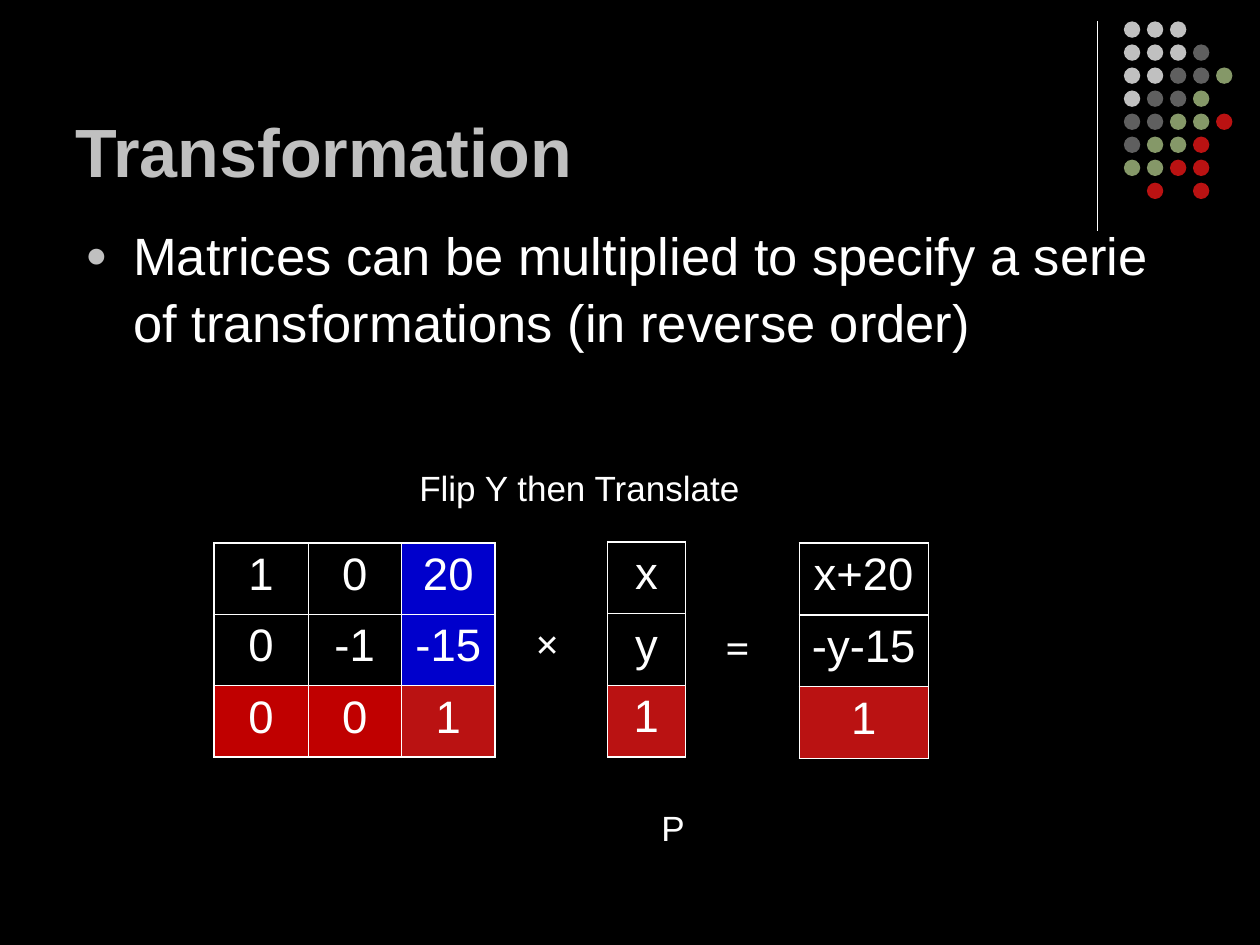
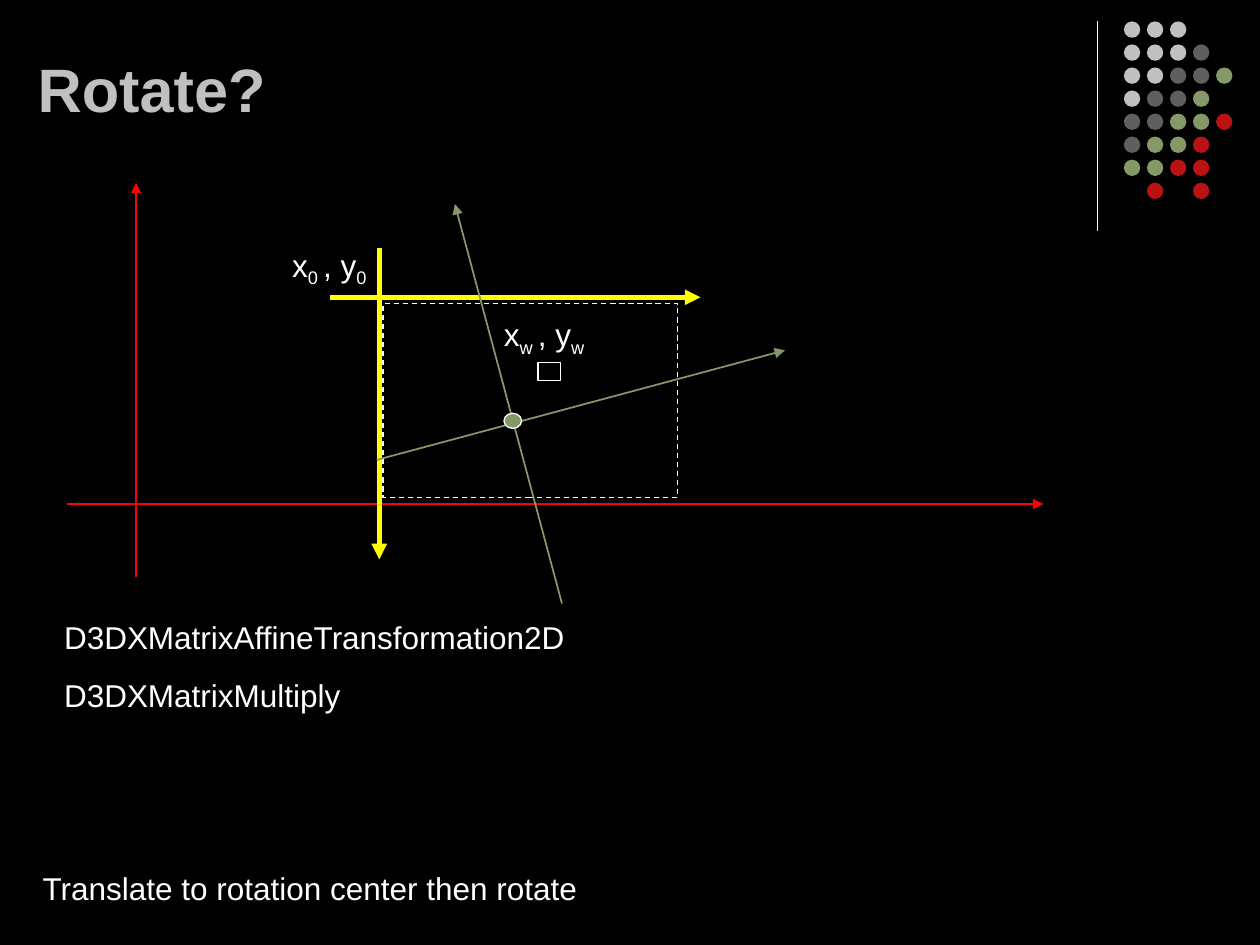
import lxml.etree
import pptx
import pptx.dml.color
import pptx.enum.dml
import pptx.enum.shapes
import pptx.enum.text
import pptx.oxml
import pptx.oxml.ns
import pptx.util

Inches = pptx.util.Inches
Pt = pptx.util.Pt
qn = pptx.oxml.ns.qn
Shape = pptx.enum.shapes.MSO_SHAPE
Align = pptx.enum.text.PP_ALIGN
Anchor = pptx.enum.text.MSO_ANCHOR

BLACK, WHITE, SILVER, GRAY = "000000", "FFFFFF", "C0C0C0", "5F5F5F"
GREEN, RED, BLUE = "859868", "BA1212", "0000CC"
DEEP, AXIS, YELLOW = "C00000", "FF0000", "FFFF00"
THICK, THIN = 1.08, 0.45
DOTS = ["sss", "sssg", "ssgge", "sgge", "ggeer", "geer", "eerr", " r r"]
SHADES = {"s": SILVER, "g": GRAY, "e": GREEN, "r": RED}


def color(code):
    """Turn a hex string into a colour."""
    return pptx.dml.color.RGBColor.from_string(code)


def style(item, **form):
    """Set each given attribute on an item."""
    for key, value in form.items():
        setattr(item, key, value)


def write(para, text, size, ink=WHITE, face="Arial", bold=False, base=0):
    """Add a styled run to a paragraph."""
    run = para.add_run()
    run.text = text
    style(run.font, size=Pt(size), name=face, bold=bold)
    run.font.color.rgb = color(ink)
    if base:
        run._r.get_or_add_rPr().set("baseline", str(base * 1000))


def label(slide, box, lines, size, gap=0, anchor=Anchor.TOP, foot=0.05, **form):
    """Add a text box with one paragraph per line."""
    frame = slide.shapes.add_textbox(*map(Inches, box)).text_frame
    style(frame, word_wrap=True, vertical_anchor=anchor, margin_bottom=Inches(foot))
    for num, line in enumerate(lines):
        para = frame.add_paragraph() if num else frame.paragraphs[0]
        if num:
            para.space_before = Pt(gap)
        write(para, line, size, **form)
    return frame


def title(slide, box, text, size):
    """Add the slide title."""
    label(slide, box, [text], size, anchor=Anchor.BOTTOM, foot=0.03,
          ink=SILVER, bold=True)


def shape(slide, kind, box, fill=None, line=None, dash=None):
    """Add a preset shape with optional fill and outline."""
    item = slide.shapes.add_shape(kind, *map(Inches, box))
    item.shadow.inherit = False
    if fill:
        item.fill.solid()
        item.fill.fore_color.rgb = color(fill)
    else:
        item.fill.background()
    if line:
        item.line.color.rgb = color(line)
        style(item.line, width=Pt(0.75), dash_style=dash)
    else:
        item.line.fill.background()


def stroke(slide, start, end, ink, width, arrow=True):
    """Draw a straight line, with an arrowhead at its end if asked."""
    item = slide.shapes.add_connector(
        pptx.enum.shapes.MSO_CONNECTOR.STRAIGHT, *map(Inches, start + end))
    item.line.color.rgb = color(ink)
    item.line.width = Pt(width)
    if arrow:
        tail = lxml.etree.SubElement(item.line._get_or_add_ln(), qn("a:tailEnd"))
        tail.set("type", "triangle")
    lxml.etree.SubElement(item._element.spPr, qn("a:effectLst"))


def motif(slide, left, top):
    """Draw the corner rule and its field of dots."""
    stroke(slide, (left, top), (left, top + 1.66), WHITE, 0.75, arrow=False)
    pitch = 1.28 / 7
    for row, marks in enumerate(DOTS):
        for col, mark in enumerate(marks):
            if mark in SHADES:
                spot = (left + 0.21 + col * pitch, top + row * pitch, 0.13, 0.13)
                shape(slide, Shape.OVAL, spot, SHADES[mark])


def border(cell, widths):
    """Give a cell white borders, keyed by side."""
    props = cell._tc.get_or_add_tcPr()
    for num, (side, width) in enumerate(widths.items()):
        props.insert(num, pptx.oxml.parse_xml(
            '<a:ln%s xmlns:a="http://schemas.openxmlformats.org/drawingml/2006/main"'
            ' w="%d"><a:solidFill><a:srgbClr val="%s"/></a:solidFill></a:ln%s>'
            % (side, Pt(width), WHITE, side)))


def matrix(slide, box, rows, fills):
    """Add a matrix as a table with a bold outline."""
    high, wide = len(rows), len(rows[0])
    table = slide.shapes.add_table(high, wide, *map(Inches, box)).table
    style(table, first_row=False, horz_banding=False)
    solo = wide == 1
    for row, texts in enumerate(rows):
        for col, text in enumerate(texts):
            cell = table.cell(row, col)
            para = cell.text_frame.paragraphs[0]
            para.alignment = Align.CENTER
            write(para, text, 26)
            cell.fill.solid()
            cell.fill.fore_color.rgb = color(fills[row][col])
            bold = {"L": not solo and col == 0, "R": col == wide - 1,
                    "T": solo or row == 0, "B": solo or row == high - 1}
            border(cell, {side: THICK if on else THIN for side, on in bold.items()})


def bullet(slide, box, text):
    """Add the bulleted body text."""
    frame = label(slide, box, [text], 30)
    para = frame.paragraphs[0]
    para.line_spacing = 1.05
    props = para._p.get_or_add_pPr()
    style_of = {"marL": Inches(0.38), "indent": Inches(-0.38)}
    for key, value in style_of.items():
        props.set(key, str(int(value)))
    tint = lxml.etree.SubElement(props, qn("a:buClr"))
    lxml.etree.SubElement(tint, qn("a:srgbClr")).set("val", SILVER)
    for tag, key, value in [("a:buSzPct", "val", "70000"),
                            ("a:buFont", "typeface", "Arial"),
                            ("a:buChar", "char", "●")]:
        lxml.etree.SubElement(props, qn(tag)).set(key, value)


def product(slide, left, top):
    """Lay out the matrix product with its signs and labels."""
    label(slide, (left + 1.53, top - 0.66, 3.16, 0.44), ["Flip Y then Translate"], 20)
    matrix(slide, (left, top, 2.23, 1.7),
           [["1", "0", "20"], ["0", "-1", "-15"], ["0", "0", "1"]],
           [[BLACK, BLACK, BLUE]] * 2 + [[DEEP, DEEP, RED]])
    sides = [(3.12, -0.01, 0.62, ["x", "y", "1"]),
             (4.64, 0, 1.03, ["x+20", "-y-15", "1"])]
    for across, down, width, items in sides:
        matrix(slide, (left + across, top + down, width, 1.71),
               [[item] for item in items], [[BLACK], [BLACK], [RED]])
    for across, down, sign in [(2.45, 0.54, "×"), (3.96, 0.57, "=")]:
        label(slide, (left + across, top + down, 0.45, 0.5), [sign], 24,
              face="Times New Roman", bold=True)
    label(slide, (left + 3.45, top + 2.04, 1.47, 0.44), ["P"], 20)


def point(slide, left, top, sub):
    """Label a point with subscripted coordinates."""
    para = label(slide, (left, top, 1.12, 0.44), [], 18).paragraphs[0]
    for text, base in [("x", 0), (sub + " ", -25), (", y", 0), (sub, -25)]:
        write(para, text, 18, base=base)


def axes(slide, left, top):
    """Draw the world, screen and rotated axes."""
    def place(x, y):
        return left + x, top + y

    shape(slide, Shape.RECTANGLE, place(2.51, 0.96) + (2.34, 1.54), line=WHITE,
          dash=pptx.enum.dml.MSO_LINE.DASH)
    for start, end, ink, width in [
            ((0.55, 3.13), (0.55, 0), AXIS, 0.75),
            ((0, 2.55), (7.75, 2.55), AXIS, 0.75),
            ((2.48, 0.52), (2.48, 2.99), YELLOW, 3),
            ((2.09, 0.91), (5.03, 0.91), YELLOW, 3),
            ((2.46, 2.2), (5.7, 1.33), GREEN, 1),
            ((3.93, 3.34), (3.08, 0.17), GREEN, 1)]:
        stroke(slide, place(*start), place(*end), ink, width)
    shape(slide, Shape.RECTANGLE, place(3.74, 1.43) + (0.18, 0.14), line=WHITE)
    shape(slide, Shape.OVAL, place(3.47, 1.83) + (0.14, 0.12), GREEN, WHITE)
    point(slide, *place(1.69, 0.45), "0")
    point(slide, *place(3.37, 1), "w")


def page(deck):
    """Add a black slide with the corner motif."""
    slide = deck.slides.add_slide(deck.slide_layouts[6])
    slide.background.fill.solid()
    slide.background.fill.fore_color.rgb = color(BLACK)
    motif(slide, 8.71, 0.17)
    return slide


def series(deck):
    """Build the slide on chained transformations."""
    slide = page(deck)
    title(slide, (0.5, 0.13, 8.25, 1.42), "Transformation", 39)
    bullet(slide, (0.58, 1.7, 9, 1.73), "Matrices can be multiplied to specify "
           "a serie of transformations (in reverse order)")
    product(slide, 1.7, 4.31)


def rotate(deck):
    """Build the slide on rotation."""
    slide = page(deck)
    title(slide, (0.2, 0.13, 8.25, 0.89), "Rotate?", 35)
    axes(slide, 0.53, 1.45)
    label(slide, (0.24, 6.85, 9.59, 0.4),
          ["Translate to rotation center then rotate"], 18)
    label(slide, (0.41, 4.86, 9.59, 0.86),
          ["D3DXMatrixAffineTransformation2D", "D3DXMatrixMultiply"], 18, gap=11.2)


def main():
    """Build and save the deck."""
    deck = pptx.Presentation()
    style(deck, slide_width=Inches(10), slide_height=Inches(7.5))
    series(deck)
    rotate(deck)
    deck.save("out.pptx")


if __name__ == "__main__":
    main()
